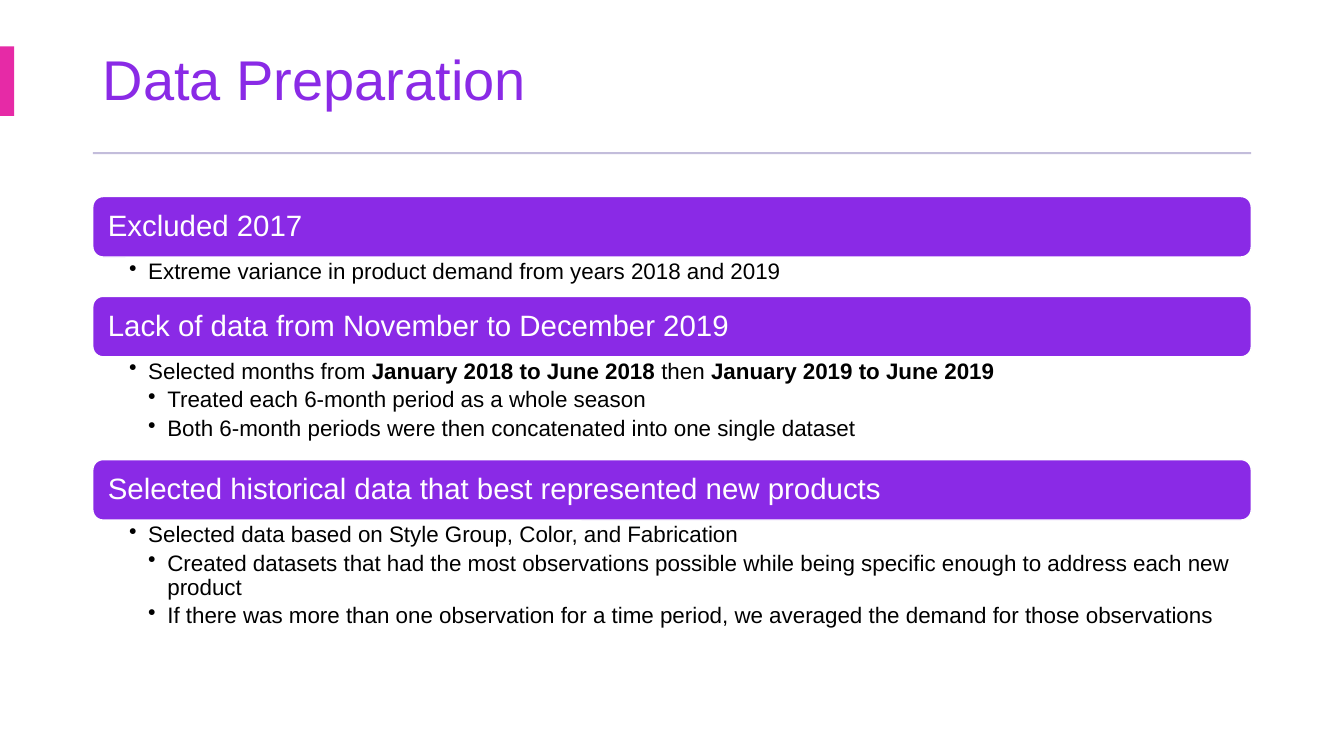
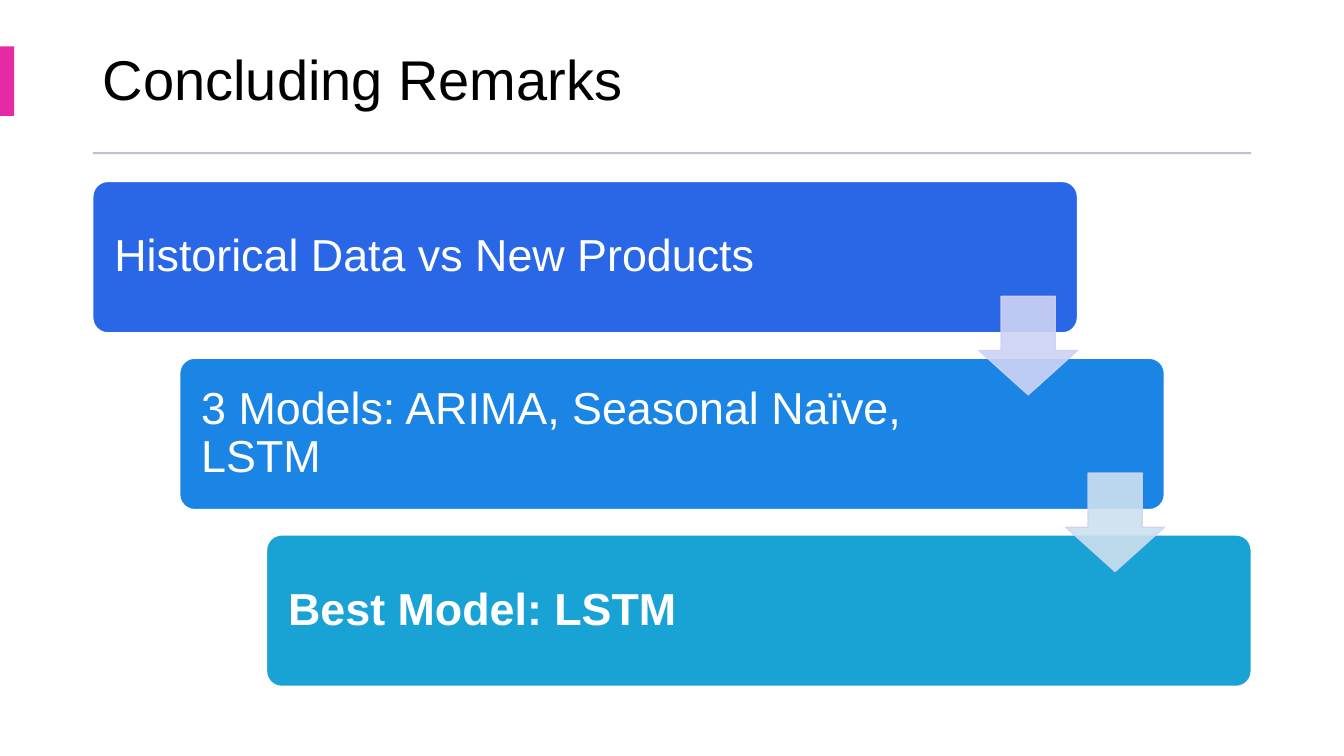
from collections import namedtuple
from dataclasses import dataclass

from lxml import etree
from pptx import Presentation
from pptx import util as u
from pptx.dml.color import RGBColor
from pptx.enum import shapes, text
from pptx.oxml.ns import qn

Box = namedtuple("Box", "left top width height")


@dataclass(frozen=True)
class Theme:
    font: str = "Arial"
    white: str = "FFFFFF"
    black: str = "000000"
    purple: str = "8A2AE6"
    pink: str = "E62AA6"
    rule: str = "C3BDDB"
    steps: tuple = ("2A67E6", "1A85E4", "18A3D4")
    arrows: tuple = ("CDD3F5", "CCE0EF")
    arrow_line: str = "CDD3F5"
    title_size: int = 40
    step_size: int = 32
    heading_size: int = 21
    bullet_size: int = 16
    line_spacing: float = 0.9


THEME = Theme()
SLIDE = Box(0, 0, 13.33, 7.5)
MARGIN = 0.92
CONTENT_WIDTH = SLIDE.width - 2 * MARGIN
BULLET_INDENT = 0.19

SECTIONS = [
    ("Excluded 2017", 0.39, [
        (1, "Extreme variance in product demand from years 2018 and 2019"),
    ]),
    ("Lack of data from November to December 2019", 1.02, [
        (1, "Selected months from **January 2018 to June 2018** then "
            "**January 2019 to June 2019**"),
        (2, "Treated each 6-month period as a whole season"),
        (2, "Both 6-month periods were then concatenated into one single dataset"),
    ]),
    ("Selected historical data that best represented new products", 1.57, [
        (1, "Selected data based on Style Group, Color, and Fabrication"),
        (2, "Created datasets that had the most observations possible while "
            "being specific enough to address each new product"),
        (2, "If there was more than one observation for a time period, we "
            "averaged the demand for those observations"),
    ]),
]
STEPS = [
    "Historical Data vs New Products",
    "3 Models: ARIMA, Seasonal Naïve, LSTM",
    "**Best Model: LSTM**",
]


def inches(box):
    return [u.Inches(length) for length in box]


def rgb(color):
    return RGBColor.from_string(color)


def set_margins(frame, left, top, right, bottom):
    frame.margin_left, frame.margin_top = u.Inches(left), u.Inches(top)
    frame.margin_right, frame.margin_bottom = u.Inches(right), u.Inches(bottom)


def add_bullet(paragraph, level):
    properties = paragraph._p.get_or_add_pPr()
    properties.set("marL", str(u.Inches(BULLET_INDENT * level)))
    properties.set("indent", str(-u.Inches(BULLET_INDENT)))
    etree.SubElement(properties, qn("a:buChar")).set("char", "•")


def write(paragraph, content, *, size, color, level=0, space_after=0):
    """Fill a paragraph; words between double asterisks become bold."""
    if level:
        add_bullet(paragraph, level)
    paragraph.alignment = text.PP_ALIGN.LEFT
    paragraph.line_spacing = THEME.line_spacing
    paragraph.space_before = u.Pt(0)
    paragraph.space_after = u.Pt(space_after)
    for index, part in enumerate(content.split("**")):
        if part:
            run = paragraph.add_run()
            run.text = part
            run.font.name = THEME.font
            run.font.size = u.Pt(size)
            run.font.bold = index % 2 == 1
            run.font.color.rgb = rgb(color)


def add_panel(slide, preset, box, fill, line=None, adjustments=()):
    panel = slide.shapes.add_shape(preset, *inches(box))
    panel.shadow.inherit = False
    panel.fill.solid()
    panel.fill.fore_color.rgb = rgb(fill)
    if line:
        panel.line.color.rgb = rgb(line)
        panel.line.width = u.Pt(1)
    else:
        panel.line.fill.background()
    for index, value in enumerate(adjustments):
        panel.adjustments[index] = value
    return panel


def add_label_bar(slide, box, content, *, fill, size, left, right, corner):
    bar = add_panel(slide, shapes.MSO_SHAPE.ROUNDED_RECTANGLE, box, fill,
                    THEME.white, [corner])
    frame = bar.text_frame
    frame.word_wrap = True
    frame.vertical_anchor = text.MSO_ANCHOR.MIDDLE
    set_margins(frame, left, 0.05, right, 0.05)
    write(frame.paragraphs[0], content, size=size, color=THEME.white)


def add_titled_slide(deck, heading, color):
    slide = deck.slides.add_slide(deck.slide_layouts[5])
    slide.background.fill.solid()
    slide.background.fill.fore_color.rgb = rgb(THEME.white)
    title = slide.shapes.title
    title.left, title.top, title.width, title.height = inches(
        Box(MARGIN, 0.27, CONTENT_WIDTH, 1.1))
    frame = title.text_frame
    frame.word_wrap = True
    frame.vertical_anchor = text.MSO_ANCHOR.MIDDLE
    write(frame.paragraphs[0], heading, size=THEME.title_size, color=color)
    for box, fill in ((Box(0, 0.46, 0.14, 0.69), THEME.pink),
                      (Box(MARGIN, 1.51, CONTENT_WIDTH, 0.02), THEME.rule)):
        add_panel(slide, shapes.MSO_SHAPE.RECTANGLE, box, fill)
    return slide


def add_bullets(slide, box, bullets):
    frame = slide.shapes.add_textbox(*inches(box)).text_frame
    frame.word_wrap = True
    set_margins(frame, 0.36, 0.03, 0.16, 0.03)
    for index, (level, content) in enumerate(bullets):
        paragraph = frame.add_paragraph() if index else frame.paragraphs[0]
        write(paragraph, content, size=THEME.bullet_size, color=THEME.black,
              level=level, space_after=3.2)


def add_sections(slide, box, sections, bar_height=0.6):
    """Stack heading bars, each followed by its bullets."""
    top = box.top
    for heading, body_height, bullets in sections:
        add_label_bar(slide, Box(box.left, top, box.width, bar_height), heading,
                      fill=THEME.purple, size=THEME.heading_size,
                      left=0.12, right=0.12, corner=0.17)
        top += bar_height
        add_bullets(slide, Box(box.left, top, box.width, body_height), bullets)
        top += body_height


def set_opacity(panel, percent):
    for color in panel._element.spPr.iter(qn("a:srgbClr")):
        etree.SubElement(color, qn("a:alpha")).set("val", str(percent * 1000))


def add_staircase(slide, box, steps):
    """Place steps down a diagonal with an arrow across each gap."""
    width, height = 0.85 * box.width, 0.3 * box.height
    shift = (box.width - width) / (len(steps) - 1)
    pitch = (box.height - height) / (len(steps) - 1)
    arrow = 0.65 * height
    for index, (content, fill) in enumerate(zip(steps, THEME.steps)):
        step = Box(box.left + index * shift, box.top + index * pitch, width, height)
        add_label_bar(slide, step, content, fill=fill, size=THEME.step_size,
                      left=0.17, right=2.02, corner=0.1)
    for index, fill in enumerate(THEME.arrows):
        right = box.left + index * shift + width
        middle = box.top + index * pitch + (height + pitch) / 2
        pointer = add_panel(slide, shapes.MSO_SHAPE.DOWN_ARROW,
                            Box(right - arrow, middle - arrow / 2, arrow, arrow),
                            fill, THEME.arrow_line, [0.55, 0.45])
        set_opacity(pointer, 90)


def main():
    deck = Presentation()
    deck.slide_width, deck.slide_height = inches(SLIDE)[2:]
    preparation = add_titled_slide(deck, "Data Preparation", THEME.purple)
    add_sections(preparation, Box(MARGIN, 1.95, CONTENT_WIDTH, 4.79), SECTIONS)
    conclusion = add_titled_slide(deck, "Concluding Remarks", THEME.black)
    add_staircase(conclusion, Box(MARGIN, 1.8, CONTENT_WIDTH, 5.01), STEPS)
    deck.save("out.pptx")


if __name__ == "__main__":
    main()
